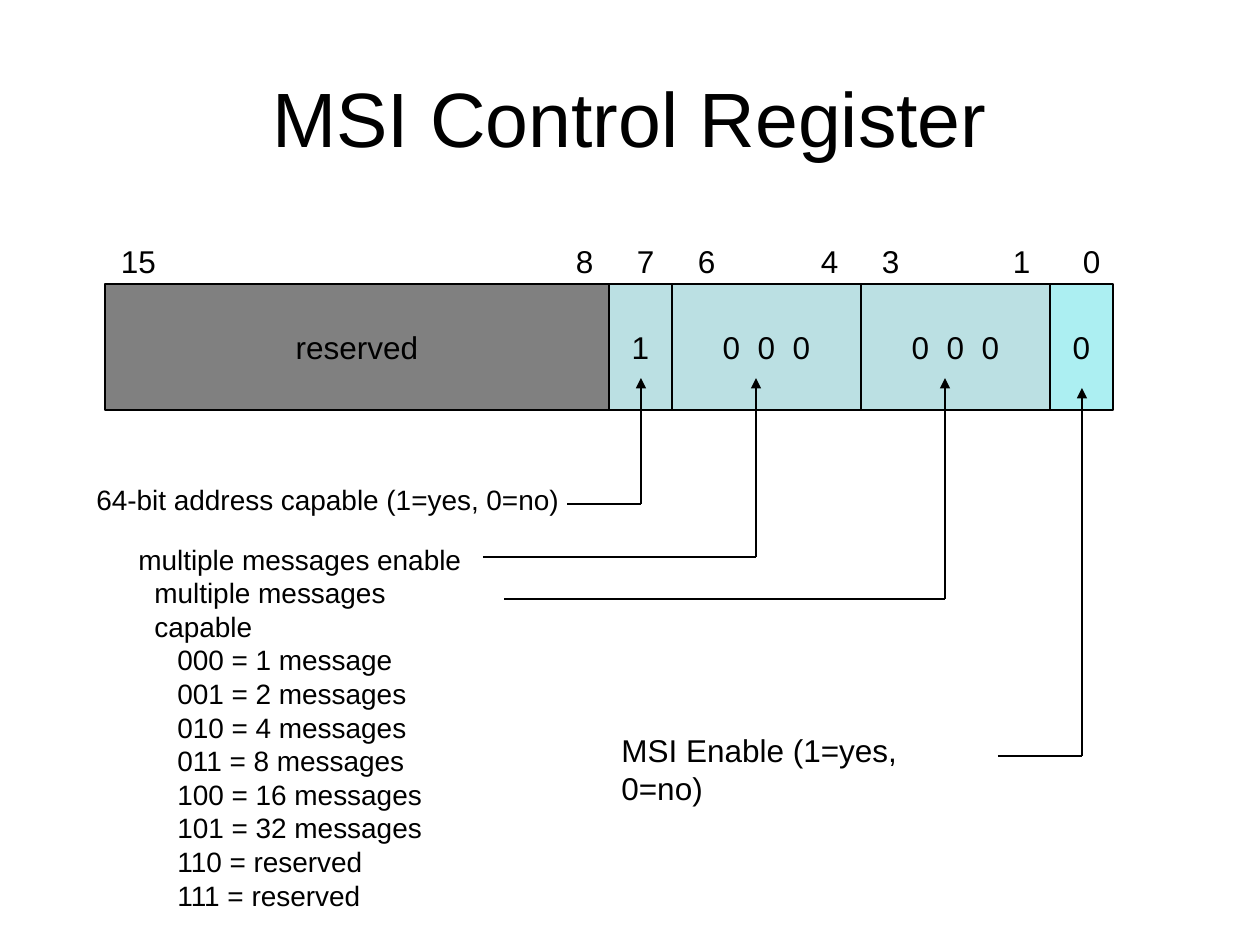
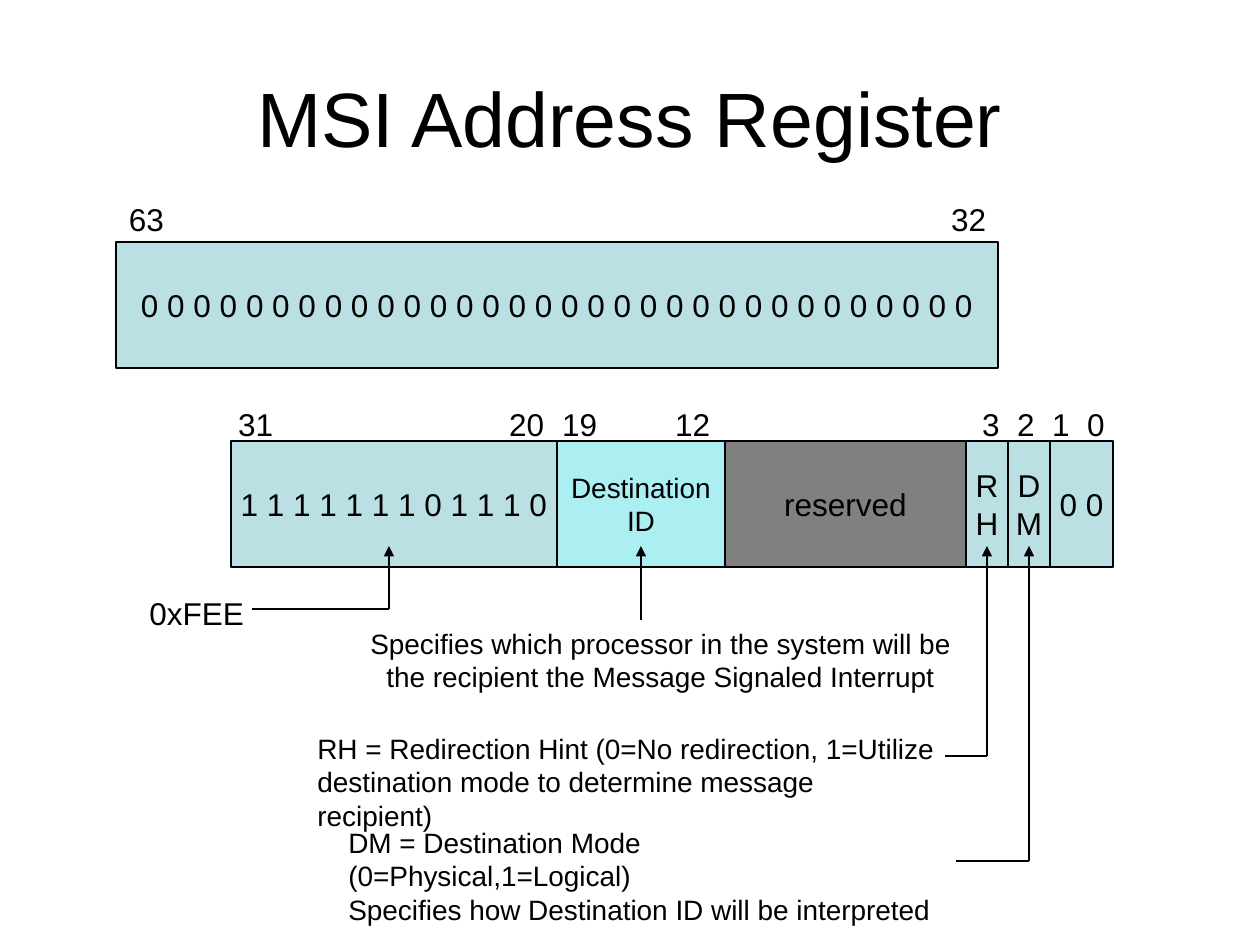
from dataclasses import dataclass

from lxml.etree import SubElement
from pptx import Presentation
from pptx.dml.color import RGBColor
from pptx.enum.shapes import MSO_CONNECTOR as Connector, MSO_SHAPE as Shape
from pptx.enum.text import MSO_ANCHOR as Anchor, MSO_AUTO_SIZE as AutoSize, PP_ALIGN as Align
from pptx.oxml.ns import qn
from pptx.util import Emu, Pt


@dataclass(frozen=True)
class Theme:
    font: str = "Arial"
    ink: str = "000000"
    fixed: str = "BBE0E3"
    active: str = "ACEFF2"
    reserved: str = "808080"
    title_size: int = 44
    label_size: int = 18
    note_size: int = 16
    line_width: float = 0.75


THEME = Theme()
PX_PER_INCH = 126
SLIDE_SIZE = (1260, 945)
TITLE_BOX = (63, 38, 1134, 158)
FIELD_HEIGHT = 126
LABEL_HEIGHT = 50

MESSAGE_COUNTS = ["1 message", "2 messages", "4 messages", "8 messages",
                  "16 messages", "32 messages", "reserved", "reserved"]

# Registers: fields are (width, colour, lines, format), bits are (left, label).
# Notes are (box, lines, size); a line may be a (text, indent) pair.
# Leaders are (note x, note y, field x, arrow tip y).
SLIDES = [
    {
        "title": "MSI Control Register",
        "registers": [{
            "left": 105, "top": 284, "label_left": 82, "label_top": 236,
            "fields": [
                (504, THEME.reserved, ["reserved"], {}),
                (63, THEME.fixed, ["1"], {}),
                (189, THEME.fixed, ["0 0 0"], {"spacing": 2.5}),
                (189, THEME.fixed, ["0 0 0"], {"spacing": 2.5}),
                (63, THEME.active, ["0"], {}),
            ],
            "bits": [(121, "15"), (576, "8"), (637, "7"), (698, "6"),
                     (821, "4"), (882, "3"), (1013, "1"), (1083, "0")],
        }],
        "notes": [
            ((84, 476, 488, 46), ["64-bit address capable (1=yes, 0=no)"], THEME.note_size),
            ((126, 536, 377, 349),
             ["multiple messages enable", ("multiple messages capable", 16)]
             + [(f"{code:03b} = {count}", 39) for code, count in enumerate(MESSAGE_COUNTS)],
             THEME.note_size),
            ((609, 725, 390, 50), ["MSI Enable (1=yes, 0=no)"], THEME.label_size),
        ],
        "leaders": [(567, 504, 641, 378), (483, 557, 756, 378),
                    (504, 599, 945, 378), (998, 756, 1082, 388)],
    },
    {
        "title": "MSI Address Register",
        "registers": [
            {
                "left": 116, "top": 242, "label_left": 82, "label_top": 194,
                "fields": [(882, THEME.fixed, [" ".join("0" * 32)], {})],
                "bits": [(129, "63"), (951, "32")],
            },
            {
                "left": 231, "top": 441, "label_left": 199, "label_top": 399,
                "fields": [
                    (326, THEME.fixed, [" ".join("111111101110")], {}),
                    (168, THEME.active, ["Destination", "ID"], {"size": THEME.note_size}),
                    (241, THEME.reserved, ["reserved"], {}),
                    (42, THEME.fixed, ["R", "H"], {}),
                    (42, THEME.fixed, ["D", "M"], {}),
                    (63, THEME.fixed, ["0 0"], {}),
                ],
                "bits": [(238, "31"), (509, "20"), (562, "19"), (675, "12"),
                         (982, "3"), (1017, "2"), (1052, "1"), (1087, "0")],
            },
        ],
        "notes": [
            ((137, 588, 120, 50), ["0xFEE"], THEME.label_size),
            ((358, 620, 606, 81),
             ["Specifies which processor in the system will be",
              ("the recipient the Message Signaled Interrupt", 16)], THEME.note_size),
            ((305, 725, 644, 81),
             ["RH = Redirection Hint (0=No redirection, 1=Utilize",
              "destination mode to determine message recipient)"], THEME.note_size),
            ((336, 819, 607, 81),
             ["DM = Destination Mode (0=Physical,1=Logical)",
              "Specifies how Destination ID will be interpreted"], THEME.note_size),
        ],
        "leaders": [(252, 609, 389, 546), (641, 620, 641, 546),
                    (945, 756, 987, 546), (956, 861, 1029, 546)],
    },
]


def px(value):
    return Emu(round(value * 914400 / PX_PER_INCH))


def rgb(colour):
    return RGBColor.from_string(colour)


def write_text(frame, lines, size=THEME.label_size, align=Align.LEFT,
               anchor=Anchor.TOP, wrap=False, spacing=0):
    frame.word_wrap = wrap
    frame.vertical_anchor = anchor
    for index, line in enumerate(lines):
        text, indent = line if isinstance(line, tuple) else (line, 0)
        paragraph = frame.paragraphs[0] if index == 0 else frame.add_paragraph()
        paragraph.alignment = align
        if indent:
            properties = paragraph._p.get_or_add_pPr()
            properties.set("marL", str(px(indent)))
            properties.set("indent", "0")
        run = paragraph.add_run()
        run.text = text
        run.font.name = THEME.font
        run.font.size = Pt(size)
        run.font.color.rgb = rgb(THEME.ink)
        if spacing:
            run._r.get_or_add_rPr().set("spc", str(round(spacing * 100)))


def add_title(slide, text):
    title = slide.shapes.title
    title.left, title.top, title.width, title.height = map(px, TITLE_BOX)
    write_text(title.text_frame, [text], size=THEME.title_size, align=Align.CENTER,
               anchor=Anchor.MIDDLE, wrap=True)


def add_field(slide, box, colour, lines, text_format):
    shape = slide.shapes.add_shape(Shape.RECTANGLE, *map(px, box))
    shape.shadow.inherit = False
    shape.fill.solid()
    shape.fill.fore_color.rgb = rgb(colour)
    shape.line.color.rgb = rgb(THEME.ink)
    shape.line.width = Pt(THEME.line_width)
    write_text(shape.text_frame, lines, align=Align.CENTER, anchor=Anchor.MIDDLE, **text_format)


def add_bit_labels(slide, left, top, right, bits):
    """Place the bit numbers on one line, each at its own tab stop."""
    box = slide.shapes.add_textbox(*map(px, (left, top, right - left, LABEL_HEIGHT)))
    frame = box.text_frame
    frame.margin_left = frame.margin_right = 0
    write_text(frame, ["".join(f"\t{label}" for _, label in bits)], wrap=True)
    tab_list = SubElement(frame.paragraphs[0]._p.get_or_add_pPr(), qn("a:tabLst"))
    for bit_left, _ in bits:
        SubElement(tab_list, qn("a:tab"), pos=str(px(bit_left - left)), algn="l")


def add_register(slide, register):
    left = register["left"]
    for width, colour, lines, text_format in register["fields"]:
        add_field(slide, (left, register["top"], width, FIELD_HEIGHT), colour, lines, text_format)
        left += width
    add_bit_labels(slide, register["label_left"], register["label_top"], left, register["bits"])


def add_note(slide, box, lines, size):
    note = slide.shapes.add_textbox(*map(px, box))
    write_text(note.text_frame, lines, size=size)
    note.text_frame.auto_size = AutoSize.SHAPE_TO_FIT_TEXT


def add_line(slide, start, end, arrow=False):
    line = slide.shapes.add_connector(Connector.STRAIGHT, *map(px, start + end))
    line.line.color.rgb = rgb(THEME.ink)
    line.line.width = Pt(THEME.line_width)
    if arrow:
        SubElement(line.line._get_or_add_ln(), qn("a:tailEnd"), type="triangle")
    SubElement(line._element.spPr, qn("a:effectLst"))


def add_leader(slide, note_x, note_y, field_x, tip_y):
    """Run sideways from the note, then up into the field."""
    corner = (field_x, note_y)
    if note_x != field_x:
        add_line(slide, (note_x, note_y), corner)
    add_line(slide, corner, (field_x, tip_y), arrow=True)


def main():
    presentation = Presentation()
    presentation.slide_width, presentation.slide_height = map(px, SLIDE_SIZE)
    title_only = presentation.slide_layouts[5]
    for content in SLIDES:
        slide = presentation.slides.add_slide(title_only)
        add_title(slide, content["title"])
        for register in content["registers"]:
            add_register(slide, register)
        for note in content["notes"]:
            add_note(slide, *note)
        for leader in content["leaders"]:
            add_leader(slide, *leader)
    presentation.save("out.pptx")


if __name__ == "__main__":
    main()
